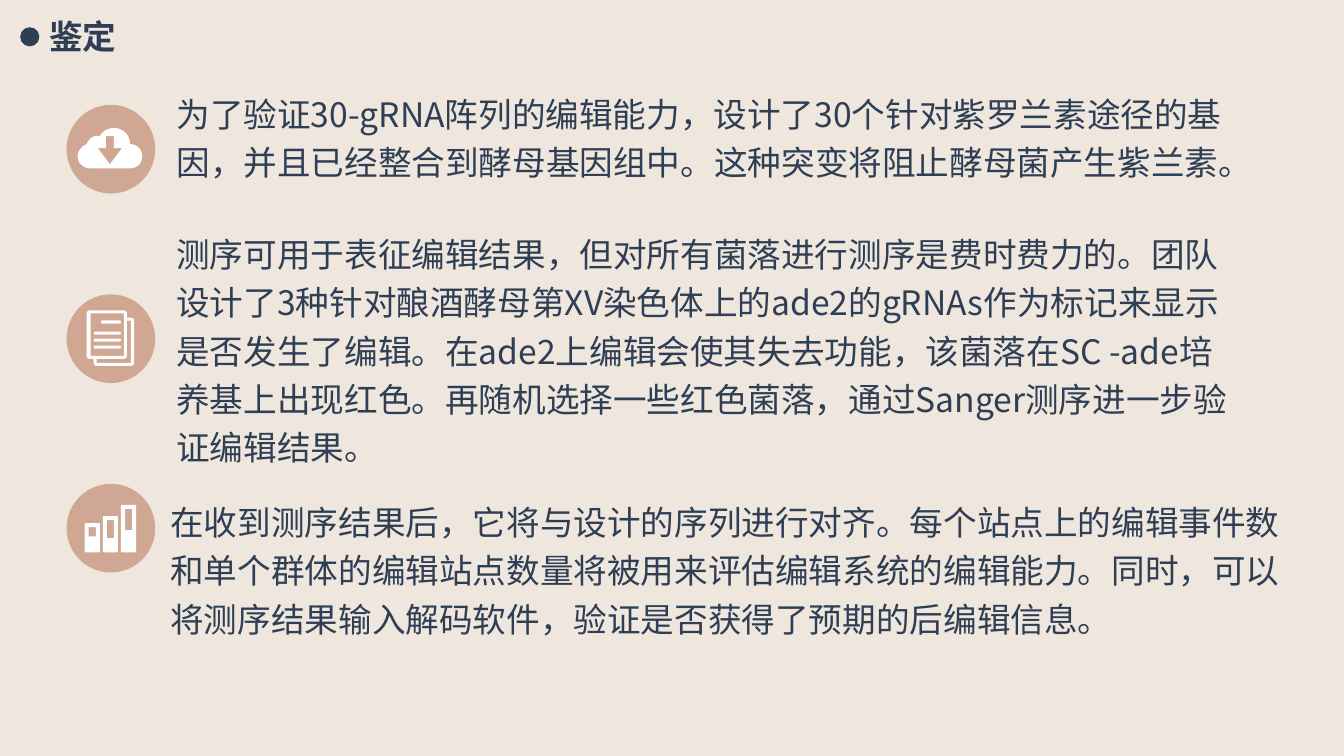
from math import cos, pi, sin

from pptx import Presentation
from pptx.dml.color import RGBColor
from pptx.enum.shapes import MSO_SHAPE as SHAPE
from pptx.oxml.ns import qn
from pptx.util import Inches, Pt
from lxml.etree import SubElement

NAVY, ROSE, CREAM, WHITE = "2E3F55", "D0A793", "EFE6DD", "FFFFFF"
BODY_FONT = "Noto Sans CJK SC"
TITLE = ("鉴定", (0.39, 0.11, 3.15, 0.5))
STEPS = [
    ("为了验证30-gRNA阵列的编辑能力，设计了30个针对紫罗兰素途径的基因，并且已经整合到酵母基因组中。这种突变将阻止酵母菌产生紫兰素。",
     (1.75, 0.85, 10.61, 1.93), 1.04),
    ("测序可用于表征编辑结果，但对所有菌落进行测序是费时费力的。团队设计了3种针对酿酒酵母第XV染色体上的ade2的gRNAs作为标记来显示是否发生了编辑。在ade2上编辑会使其失去功能，该菌落在SC -ade培养基上出现红色。再随机选择一些红色菌落，通过Sanger测序进一步验证编辑结果。",
     (1.75, 2.24, 10.53, 2.42), 2.92),
    ("在收到测序结果后，它将与设计的序列进行对齐。每个站点上的编辑事件数和单个群体的编辑站点数量将被用来评估编辑系统的编辑能力。同时，可以将测序结果输入解码软件，验证是否获得了预期的后编辑信息。",
     (1.69, 4.9, 11.21, 2.02), 4.8),
]
CLOUD_START = (1.29, 1.43)
CLOUD_CURVES = [
    ((1.29, 1.34), (1.22, 1.27), (1.13, 1.27)),
    ((1.07, 1.27), (1.02, 1.3), (0.99, 1.35)),
    ((0.92, 1.34), (0.88, 1.38), (0.86, 1.43)),
    ((0.81, 1.45), (0.77, 1.5), (0.77, 1.55)),
    ((0.77, 1.62), (0.83, 1.67), (0.89, 1.67)),
    ((1.02, 1.67), (1.16, 1.67), (1.29, 1.67)),
    ((1.36, 1.67), (1.41, 1.62), (1.41, 1.55)),
    ((1.41, 1.48), (1.36, 1.43), (1.29, 1.43)),
]
DOWN_ARROW = [(1.09, 1.63), (0.97, 1.47), (1.05, 1.47), (1.05, 1.35),
              (1.13, 1.35), (1.13, 1.47), (1.21, 1.47)]
BACK_PAGE = [(1.26, 3.15), (1.31, 3.15), (1.33, 3.17), (1.33, 3.61), (1.31, 3.63),
             (0.95, 3.63), (0.93, 3.61), (0.93, 3.56), (0.96, 3.56), (0.96, 3.6),
             (1.3, 3.6), (1.3, 3.18), (1.26, 3.18)]
TEXT_LINES = [(1, 3.18), (0.93, 3.29), (0.93, 3.36), (0.93, 3.43)]
BARS = [(0.84, 5.19, 5.32), (1.02, 5.12, 5.34), (1.2, 5.01, 5.26)]

deck = Presentation()
deck.slide_width, deck.slide_height = Inches(13.33), Inches(7.5)
page = deck.slides.add_slide(deck.slide_layouts[6])


def color(code):
    return RGBColor.from_string(code)


def paint(shape, code):
    shape.shadow.inherit = False
    shape.fill.solid()
    shape.fill.fore_color.rgb = color(code)
    shape.line.fill.background()


def add_preset(kind, frame, code):
    shape = page.shapes.add_shape(kind, *map(Inches, frame))
    paint(shape, code)
    return shape


def add_outline(*contours):
    emu = [[(Inches(x), Inches(y)) for x, y in contour] for contour in contours]
    builder = page.shapes.build_freeform(*emu[0][0], scale=1.0)
    builder.add_line_segments(emu[0][1:], close=True)
    for contour in emu[1:]:
        builder.move_to(*contour[0])
        builder.add_line_segments(contour[1:], close=True)
    paint(builder.convert_to_shape(), WHITE)


def box_points(left, top, right, bottom, radius=0):
    corners = [(right - radius, bottom - radius), (left + radius, bottom - radius),
               (left + radius, top + radius), (right - radius, top + radius)]
    steps = 4 if radius else 0
    return [(x + radius * cos(angle), y + radius * sin(angle))
            for turn, (x, y) in enumerate(corners)
            for angle in [(turn + step / 4) * pi / 2 for step in range(steps + 1)]]


def curve_points(start, curves, steps=12):
    points = [start]
    for curve in curves:
        anchors = (points[-1], *curve)
        for step in range(1, steps + 1):
            t = step / steps
            weights = ((1 - t) ** 3, 3 * t * (1 - t) ** 2, 3 * t * t * (1 - t), t ** 3)
            points.append(tuple(sum(w * a[axis] for w, a in zip(weights, anchors))
                                for axis in (0, 1)))
    return points


def add_text(text, frame, font, bold=False):
    box = page.shapes.add_textbox(*map(Inches, frame))
    box.text_frame.word_wrap = True
    para = box.text_frame.paragraphs[0]
    para.text = text
    span = para.runs[0]
    span.font.size, span.font.bold, span.font.name = Pt(24), bold, font
    span.font.color.rgb = color(NAVY)
    SubElement(span.font._element, qn("a:ea")).set("typeface", BODY_FONT)
    return box.text_frame


def add_step(text, frame, circle_top):
    add_preset(SHAPE.OVAL, (0.66, circle_top, 0.88, 0.88), ROSE)
    body = add_text(text, frame, BODY_FONT)
    body.margin_left = body.margin_top = body.margin_right = body.margin_bottom = 0
    body.paragraphs[0].line_spacing = 1.2
    body.paragraphs[0].space_before = Pt(4.8)


page.background.fill.solid()
page.background.fill.fore_color.rgb = color(CREAM)
add_text(*TITLE, "Times New Roman", bold=True)
add_preset(SHAPE.OVAL, (0.2, 0.27, 0.19, 0.19), NAVY)
for step in STEPS:
    add_step(*step)

add_outline(curve_points(CLOUD_START, CLOUD_CURVES), DOWN_ARROW)
add_outline(box_points(0.86, 3.08, 1.26, 3.56, 0.03), box_points(0.9, 3.11, 1.23, 3.53))
add_outline(BACK_PAGE)
for left, top in TEXT_LINES:
    stroke = add_preset(SHAPE.ROUNDED_RECTANGLE, (left, top, 1.2 - left, 0.03), WHITE)
    stroke.adjustments[0] = 0.5
for left, top, hole_bottom in BARS:
    add_outline(box_points(left, top, left + 0.15, 5.48, 0.01),
                box_points(left + 0.04, top + 0.04, left + 0.11, hole_bottom))

deck.save("out.pptx")
